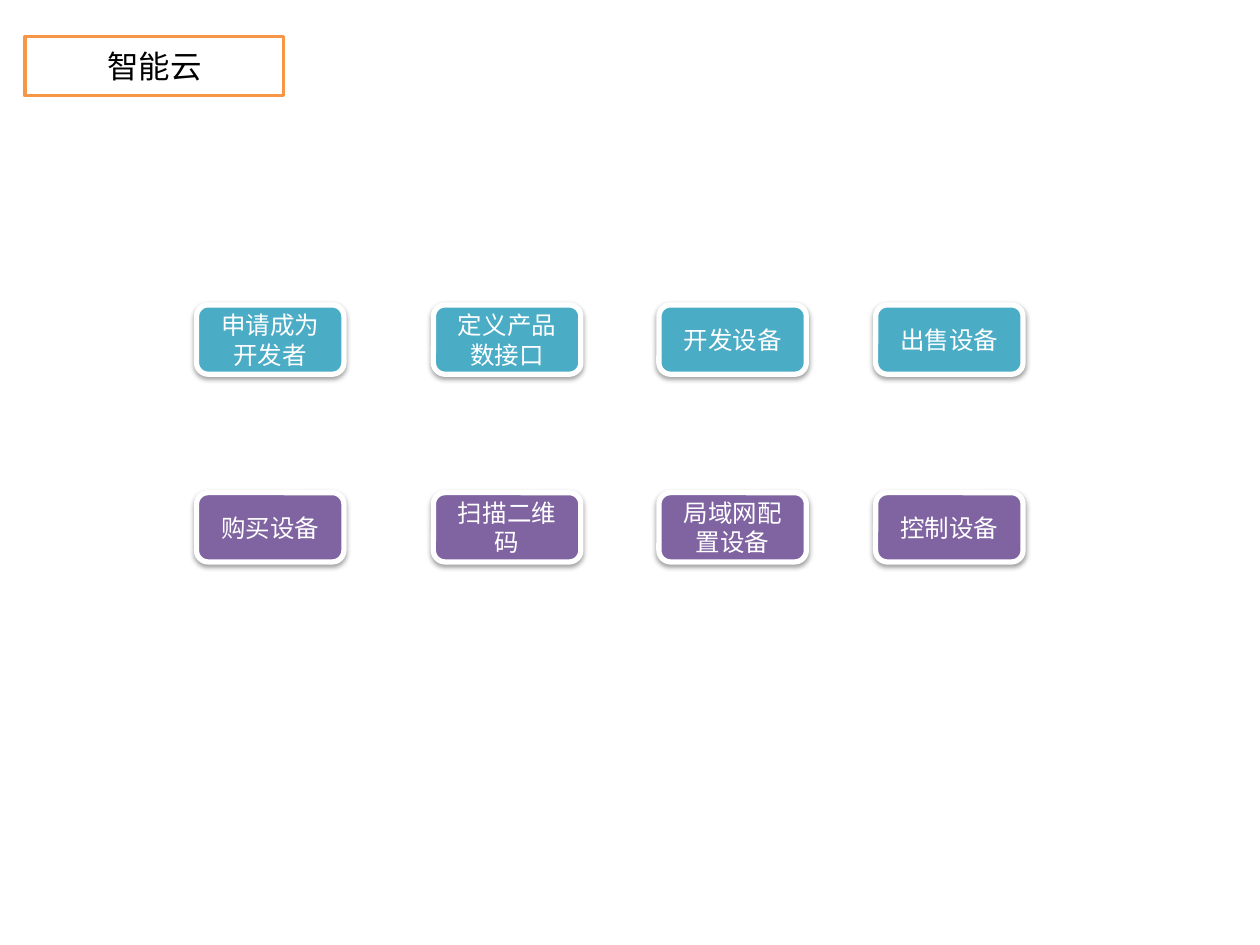
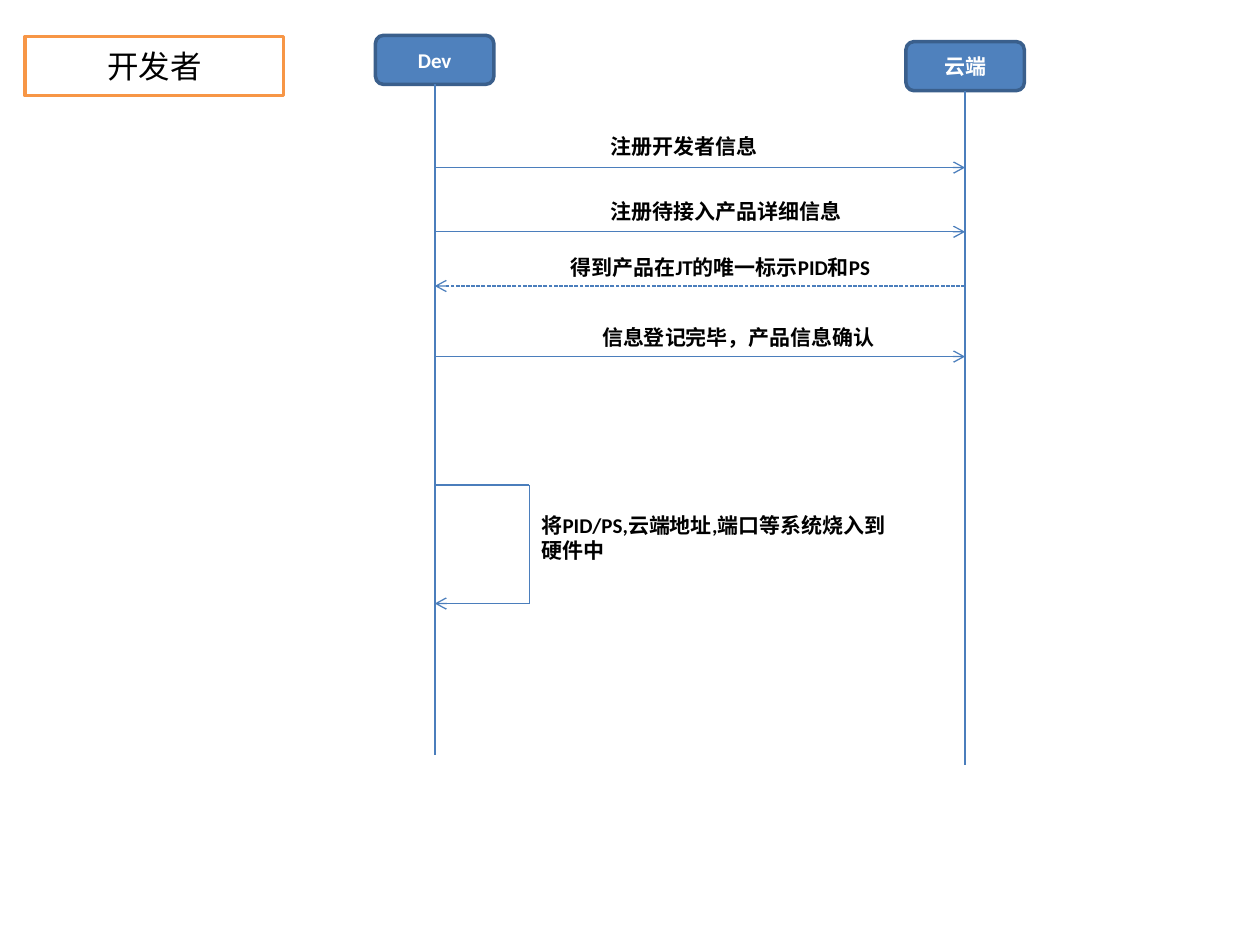
from dataclasses import dataclass
from typing import Optional

from lxml.etree import SubElement
from pptx import Presentation
from pptx.dml.color import RGBColor
from pptx.enum.dml import MSO_LINE
from pptx.enum.shapes import MSO_CONNECTOR, MSO_SHAPE
from pptx.enum.text import MSO_ANCHOR, MSO_AUTO_SIZE, PP_ALIGN
from pptx.oxml.ns import qn
from pptx.util import Inches, Pt


# Theme
@dataclass(frozen=True)
class Theme:
    font: str = "Calibri"
    white: str = "FFFFFF"
    black: str = "000000"
    orange: str = "F79646"
    teal: str = "4BACC6"
    purple: str = "8064A2"
    blue: str = "4F81BD"
    navy: str = "3A5F8C"
    wire: str = "4B7EBC"
    title: int = 18
    step: int = 14
    label: int = 12


THEME = Theme()


@dataclass(frozen=True)
class Box:
    text: str
    left: float
    top: float
    width: float
    height: float


@dataclass(frozen=True)
class Style:
    kind: MSO_SHAPE
    fill: str
    edge: str
    weight: float
    ink: str
    size: int
    bold: bool = False
    shadow: bool = False


@dataclass(frozen=True)
class Wire:
    x1: float
    y1: float
    x2: float
    y2: float
    arrow: bool = False
    dash: bool = False
    weight: float = 0.75


@dataclass(frozen=True)
class Message:
    wire: Wire
    label: Box


TITLE = Style(MSO_SHAPE.RECTANGLE, THEME.white, THEME.orange, 2,
              THEME.black, THEME.title)
ACTOR = Style(MSO_SHAPE.ROUNDED_RECTANGLE, THEME.blue, THEME.navy, 2,
              THEME.white, THEME.label, bold=True)


def step_style(fill: str) -> Style:
    return Style(MSO_SHAPE.ROUNDED_RECTANGLE, fill, THEME.white, 3,
                 THEME.white, THEME.step, shadow=True)


# Drawing functions
def frame(box: Box) -> list:
    return [Inches(v) for v in (box.left, box.top, box.width, box.height)]


def add_text(para, text: str, size: int, ink: str, bold: bool) -> None:
    run = para.add_run()
    run.text = text
    font = run.font
    font.name, font.size, font.bold = THEME.font, Pt(size), bold
    font.color.rgb = RGBColor.from_string(ink)


def add_shadow(shape) -> None:
    effects = shape._element.spPr.find(qn("a:effectLst"))
    outer = SubElement(effects, qn("a:outerShdw"), blurRad=str(Pt(3.1)),
                       dist=str(Pt(1.6)), dir="5400000", rotWithShape="0")
    color = SubElement(outer, qn("a:srgbClr"), val=THEME.black)
    SubElement(color, qn("a:alpha"), val="38000")


def draw_box(slide, box: Box, style: Style):
    shape = slide.shapes.add_shape(style.kind, *frame(box))
    shape.fill.solid()
    shape.fill.fore_color.rgb = RGBColor.from_string(style.fill)
    shape.line.color.rgb = RGBColor.from_string(style.edge)
    shape.line.width = Pt(style.weight)
    shape.shadow.inherit = False
    if style.shadow:
        add_shadow(shape)
    body = shape.text_frame
    body.word_wrap = True
    body.vertical_anchor = MSO_ANCHOR.MIDDLE
    para = body.paragraphs[0]
    para.alignment = PP_ALIGN.CENTER
    add_text(para, box.text, style.size, style.ink, style.bold)
    return shape


def draw_label(slide, box: Box) -> None:
    body = slide.shapes.add_textbox(*frame(box)).text_frame
    body.word_wrap = True
    body.auto_size = MSO_AUTO_SIZE.SHAPE_TO_FIT_TEXT
    add_text(body.paragraphs[0], box.text, THEME.label, THEME.black, True)


def draw_wire(slide, wire: Wire, start: Optional[object] = None) -> None:
    ends = [Inches(v) for v in (wire.x1, wire.y1, wire.x2, wire.y2)]
    link = slide.shapes.add_connector(MSO_CONNECTOR.STRAIGHT, *ends)
    if start is not None:
        link.begin_connect(start, 2)
    link.line.color.rgb = RGBColor.from_string(THEME.wire)
    link.line.width = Pt(wire.weight)
    if wire.dash:
        link.line.dash_style = MSO_LINE.SQUARE_DOT
    if wire.arrow:
        SubElement(link.line._get_or_add_ln(), qn("a:tailEnd"), type="arrow")
    SubElement(link._element.spPr, qn("a:effectLst"))


def new_slide(deck, title: str):
    slide = deck.slides.add_slide(deck.slide_layouts[6])
    draw_box(slide, Box(title, 0.2, 0.29, 2.05, 0.47), TITLE)
    return slide


# Slide 1: steps of the developer and of the buyer
COLS = (1.56, 3.44, 5.23, 6.95)
ROWS = (
    (2.42, THEME.teal, ("申请成为开发者", "定义产品数接口", "开发设备", "出售设备")),
    (3.91, THEME.purple, ("购买设备", "扫描二维码", "局域网配置设备", "控制设备")),
)


def build_steps(deck) -> None:
    slide = new_slide(deck, "智能云")
    for top, fill, names in ROWS:
        for left, name in zip(COLS, names):
            draw_box(slide, Box(name, left, top, 1.17, 0.55), step_style(fill))


# Slide 2: sequence between developer and cloud
DEV, CLOUD, LOOP = 3.45, 7.66, 4.2
HEAD_W, HEAD_H = 0.94, 0.39


def head_box(name: str, mid: float, top: float) -> Box:
    return Box(name, mid - HEAD_W / 2, top, HEAD_W, HEAD_H)


LIVES = (
    (head_box("Dev", DEV, 0.28), Wire(DEV, 0.67, DEV, 5.99, weight=1)),
    (head_box("云端", CLOUD, 0.33), Wire(CLOUD, 0.72, CLOUD, 6.07)),
)
CALLS = (
    Message(Wire(DEV, 1.33, CLOUD, 1.33, arrow=True),
            Box("注册开发者信息", 4.75, 1.01, 2.05, 0.3)),
    Message(Wire(DEV, 1.84, CLOUD, 1.84, arrow=True),
            Box("注册待接入产品详细信息", 4.75, 1.53, 2.05, 0.3)),
    Message(Wire(CLOUD, 2.27, DEV, 2.27, arrow=True, dash=True),
            Box("得到产品在JT的唯一标示PID和PS", 4.43, 1.97, 3.1, 0.3)),
    Message(Wire(DEV, 2.83, CLOUD, 2.83, arrow=True),
            Box("信息登记完毕，产品信息确认", 4.68, 2.53, 2.59, 0.3)),
    Message(Wire(LOOP, 4.79, DEV, 4.79, arrow=True),
            Box("将PID/PS,云端地址,端口等系统烧入到硬件中", LOOP, 4.02, 3.07, 0.5)),
)
BENDS = (Wire(DEV, 3.85, LOOP, 3.85), Wire(LOOP, 3.85, LOOP, 4.79))


def build_calls(deck) -> None:
    slide = new_slide(deck, "开发者")
    for head, life in LIVES:
        draw_wire(slide, life, draw_box(slide, head, ACTOR))
    for bend in BENDS:
        draw_wire(slide, bend)
    for call in CALLS:
        draw_wire(slide, call.wire)
        draw_label(slide, call.label)


def main() -> None:
    deck = Presentation()
    deck.slide_width, deck.slide_height = Inches(10), Inches(7.5)
    build_steps(deck)
    build_calls(deck)
    deck.save("out.pptx")


if __name__ == "__main__":
    main()
